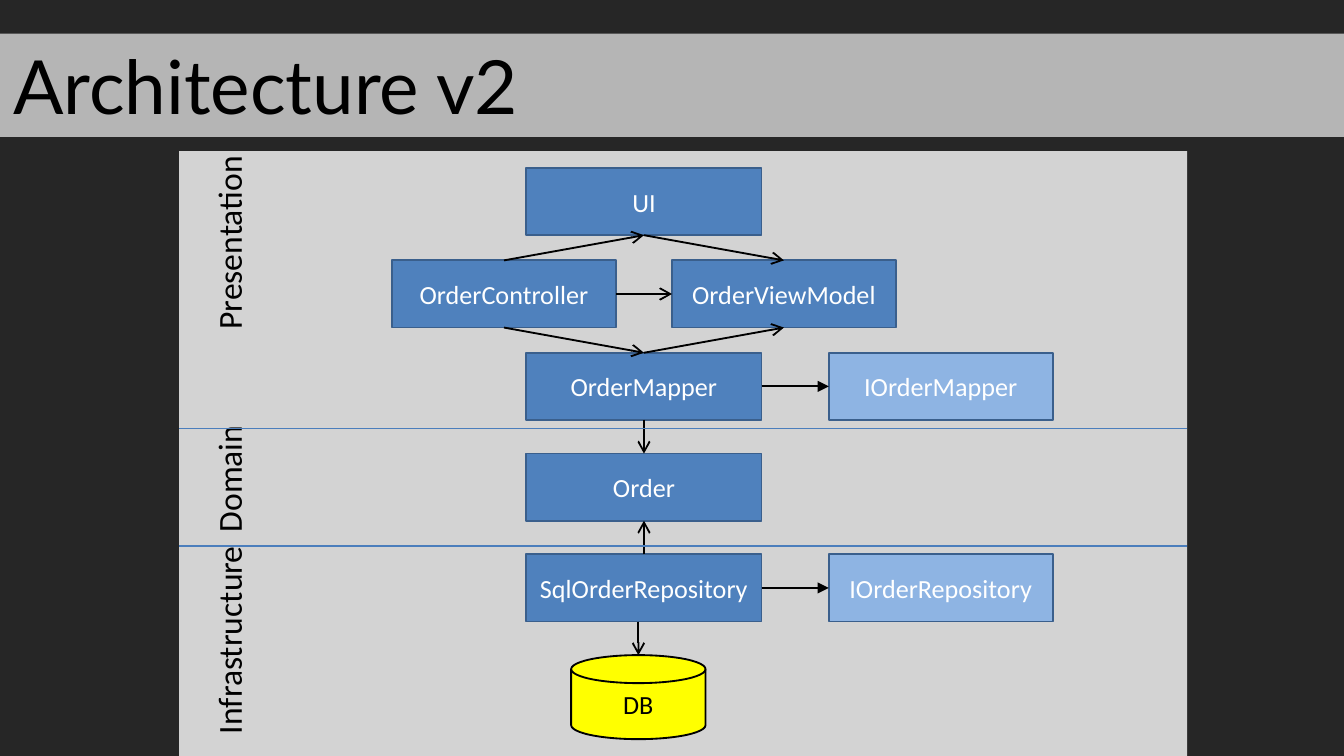
from dataclasses import dataclass

from lxml.etree import SubElement
from pptx import Presentation
from pptx.dml.color import RGBColor
from pptx.enum.shapes import MSO_CONNECTOR, MSO_SHAPE
from pptx.enum.text import MSO_ANCHOR, MSO_AUTO_SIZE, PP_ALIGN
from pptx.oxml.ns import qn
from pptx.util import Inches, Pt


@dataclass(frozen=True)
class Theme:
    background: str = "262626"
    panel: str = "F2F2F2"
    title_band: str = "D9D9D9"
    concrete: str = "4F81BD"
    interface: str = "8EB4E3"
    database: str = "FFFF00"
    box_edge: str = "3A5F8C"
    divider: str = "4B7EBC"
    light: str = "FFFFFF"
    dark: str = "000000"
    body_font: str = "Calibri"
    title_font: str = "Lato"
    title_size: int = 40
    layer_size: int = 18
    box_size: int = 14


THEME = Theme()


@dataclass(frozen=True)
class Box:
    label: str
    left: float
    top: float
    width: float
    height: float = 0.5
    fill: str = THEME.concrete
    edge: str = THEME.box_edge
    ink: str = THEME.light
    outline: MSO_SHAPE = MSO_SHAPE.RECTANGLE

    def side(self, name: str) -> tuple[float, float]:
        x, y = {"top": (0.5, 0), "bottom": (0.5, 1),
                "left": (0, 0.5), "right": (1, 0.5)}[name]
        return self.left + x * self.width, self.top + y * self.height


@dataclass(frozen=True)
class Layer:
    label: str
    top: float
    height: float


def color(value: str) -> RGBColor:
    return RGBColor.from_string(value)


def write(frame, text: str, size: int, ink: str, font: str = THEME.body_font) -> None:
    run = frame.paragraphs[0].add_run()
    run.text = text
    run.font.name = font
    run.font.size = Pt(size)
    run.font.color.rgb = color(ink)


def draw_shape(shapes, outline: MSO_SHAPE, left: float, top: float, width: float,
               height: float, fill: str, opacity: int = 100):
    shape = shapes.add_shape(outline, Inches(left), Inches(top),
                             Inches(width), Inches(height))
    shape.shadow.inherit = False
    shape.fill.solid()
    shape.fill.fore_color.rgb = color(fill)
    shape.line.fill.background()
    if opacity < 100:
        swatch = shape.fill._xPr.find(qn("a:solidFill"))[0]
        SubElement(swatch, qn("a:alpha"), val=str(opacity * 1000))
    return shape


def draw_box(shapes, box: Box) -> None:
    shape = draw_shape(shapes, box.outline, box.left, box.top,
                       box.width, box.height, box.fill)
    shape.line.color.rgb = color(box.edge)
    shape.line.width = Pt(1)
    frame = shape.text_frame
    frame.word_wrap = True
    frame.vertical_anchor = MSO_ANCHOR.MIDDLE
    frame.paragraphs[0].alignment = PP_ALIGN.CENTER
    write(frame, box.label, THEME.box_size, box.ink)


def draw_line(shapes, start: tuple[float, float], end: tuple[float, float],
              ink: str, weight: float, head: str = "") -> None:
    line = shapes.add_connector(MSO_CONNECTOR.STRAIGHT,
                                *(Inches(value) for value in start + end))
    line.line.color.rgb = color(ink)
    line.line.width = Pt(weight)
    properties = line._element.spPr
    if head:
        SubElement(properties.find(qn("a:ln")), qn("a:tailEnd"), type=head)
    SubElement(properties, qn("a:effectLst"))


def draw_layer(shapes, layer: Layer) -> None:
    label = shapes.add_textbox(Inches(1.5), Inches(layer.top),
                               Inches(0.5), Inches(layer.height))
    frame = label.text_frame
    frame.word_wrap = False
    frame.auto_size = MSO_AUTO_SIZE.SHAPE_TO_FIT_TEXT
    frame._txBody.bodyPr.set("vert", "vert270")
    write(frame, layer.label, THEME.layer_size, THEME.dark)


# Widescreen slide; columns sit on twelfths and rows on sixteenths of an inch
SLIDE_WIDTH = 10
SLIDE_HEIGHT = SLIDE_WIDTH * 9 / 16
MAIN_LEFT, MAIN_WIDTH = 47 / 12, 1.75
SIDE_WIDTH = 20 / 12
INTERFACE_LEFT = 74 / 12
MODEL_TOP = 31 / 16

# Classes
UI = Box("UI", MAIN_LEFT, 1.25, MAIN_WIDTH)
VIEW_MODEL = Box("OrderViewModel", 5, MODEL_TOP, SIDE_WIDTH)
CONTROLLER = Box("OrderController", 35 / 12, MODEL_TOP, SIDE_WIDTH)
MAPPER = Box("OrderMapper", MAIN_LEFT, 42 / 16, MAIN_WIDTH)
ORDER = Box("Order", MAIN_LEFT, 54 / 16, MAIN_WIDTH)
REPOSITORY = Box("SqlOrderRepository", MAIN_LEFT, 66 / 16, MAIN_WIDTH)
MAPPER_INTERFACE = Box("IOrderMapper", INTERFACE_LEFT, MAPPER.top, SIDE_WIDTH,
                       fill=THEME.interface)
REPOSITORY_INTERFACE = Box("IOrderRepository", INTERFACE_LEFT, REPOSITORY.top,
                           SIDE_WIDTH, fill=THEME.interface)
DATABASE = Box("DB", 4.25, 78 / 16, 1, 10 / 16, THEME.database, THEME.dark,
               THEME.dark, MSO_SHAPE.FLOWCHART_MAGNETIC_DISK)
BOXES = (UI, VIEW_MODEL, ORDER, CONTROLLER, MAPPER, MAPPER_INTERFACE,
         REPOSITORY, REPOSITORY_INTERFACE, DATABASE)

# Uses are open arrows, implemented interfaces are solid ones
DEPENDENCIES = (
    (CONTROLLER, "right", VIEW_MODEL, "left", "arrow"),
    (CONTROLLER, "top", UI, "bottom", "arrow"),
    (UI, "bottom", VIEW_MODEL, "top", "arrow"),
    (MAPPER, "top", VIEW_MODEL, "bottom", "arrow"),
    (CONTROLLER, "bottom", MAPPER, "top", "arrow"),
    (MAPPER, "bottom", ORDER, "top", "arrow"),
    (REPOSITORY, "top", ORDER, "bottom", "arrow"),
    (MAPPER, "right", MAPPER_INTERFACE, "left", "triangle"),
    (REPOSITORY, "right", REPOSITORY_INTERFACE, "left", "triangle"),
)

LAYERS = (Layer("Presentation", 1.14, 1.41), Layer("Domain", 3.16, 0.9),
          Layer("Infrastructure", 4.04, 1.52))
PANEL_LEFT, PANEL_TOP, PANEL_WIDTH = 16 / 12, 18 / 16, 7.5
DIVIDER_TOPS = (51 / 16, 65 / 16)


def main() -> None:
    deck = Presentation()
    deck.slide_width, deck.slide_height = Inches(SLIDE_WIDTH), Inches(SLIDE_HEIGHT)
    slide = deck.slides.add_slide(deck.slide_layouts[6])
    slide.background.fill.solid()
    slide.background.fill.fore_color.rgb = color(THEME.background)
    shapes = slide.shapes

    # Diagram panel, classes and dependencies
    draw_shape(shapes, MSO_SHAPE.RECTANGLE, PANEL_LEFT, PANEL_TOP,
               PANEL_WIDTH, SLIDE_HEIGHT - PANEL_TOP, THEME.panel, 85)
    for box in BOXES:
        draw_box(shapes, box)
    for source, source_side, target, target_side, head in DEPENDENCIES:
        draw_line(shapes, source.side(source_side), target.side(target_side),
                  THEME.dark, 1, head)
    database_x, database_top = DATABASE.side("top")
    draw_line(shapes, (database_x, REPOSITORY.side("bottom")[1]),
              (database_x, database_top), THEME.dark, 1, "arrow")

    # Layer names and dividers
    for layer in LAYERS:
        draw_layer(shapes, layer)
    for top in DIVIDER_TOPS:
        draw_line(shapes, (PANEL_LEFT, top), (PANEL_LEFT + PANEL_WIDTH, top),
                  THEME.divider, 0.75)

    # Title band
    band = draw_shape(shapes, MSO_SHAPE.RECTANGLE, 0, 0.25, SLIDE_WIDTH, 0.77,
                      THEME.title_band, 80)
    frame = band.text_frame
    frame.word_wrap = True
    frame.auto_size = MSO_AUTO_SIZE.SHAPE_TO_FIT_TEXT
    frame.vertical_anchor = MSO_ANCHOR.TOP
    frame.paragraphs[0].alignment = PP_ALIGN.LEFT
    write(frame, "Architecture v2", THEME.title_size, THEME.dark, THEME.title_font)

    deck.save("out.pptx")


if __name__ == "__main__":
    main()
